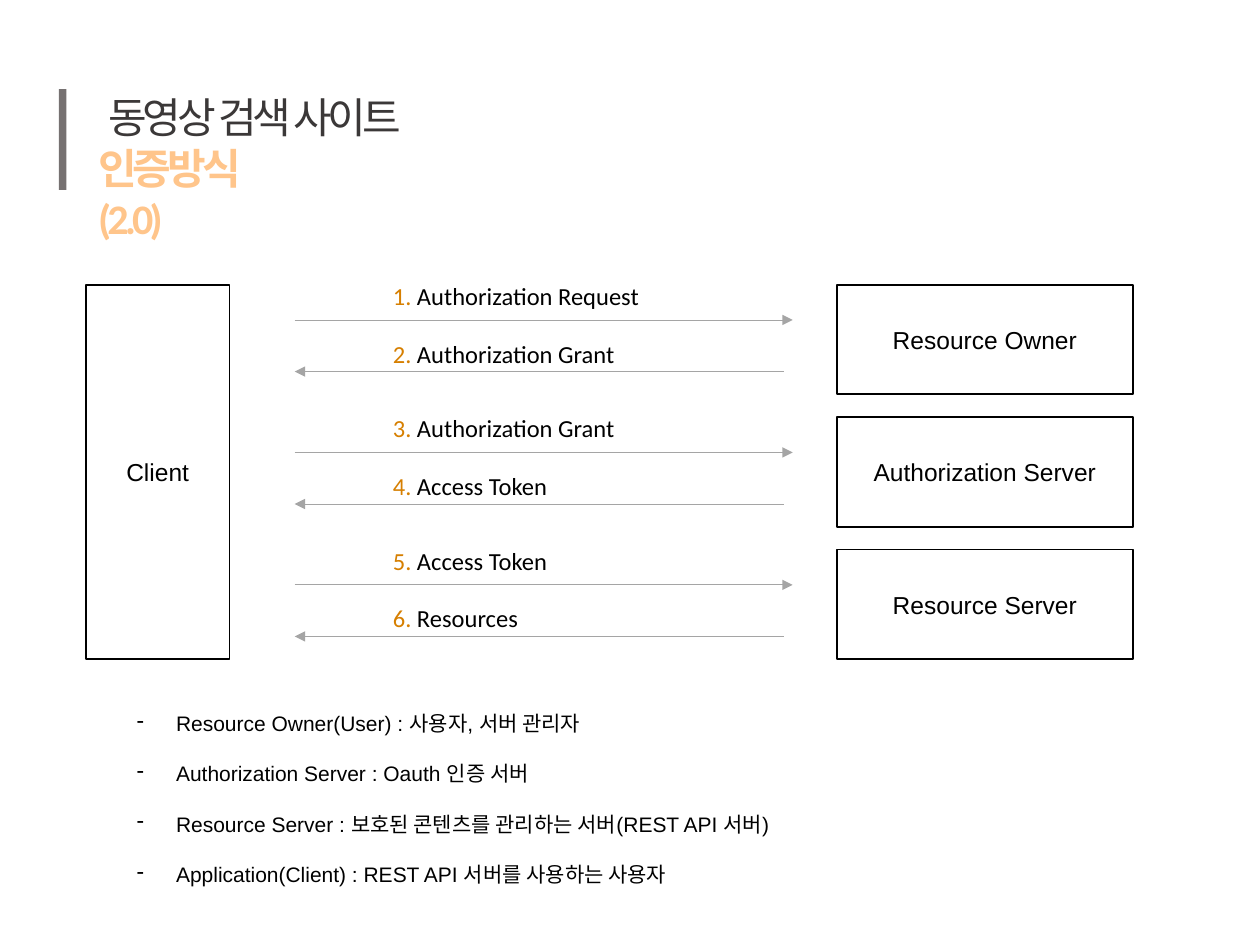
from lxml.etree import SubElement
from pptx import Presentation
from pptx.dml.color import RGBColor
from pptx.enum.shapes import MSO_CONNECTOR as CONN, MSO_SHAPE as SHAPE
from pptx.enum.text import MSO_ANCHOR as ANCHOR, PP_ALIGN as ALIGN
from pptx.oxml.ns import qn
from pptx.util import Cm, Pt

BLACK, WHITE = "000000", "FFFFFF"
ROW_TOP, ROW_PITCH, ROW_HEIGHT = 5.74, 2.67, 2.21
EXCHANGES = [
    ("Resource Owner", "Authorization Request", "Authorization Grant"),
    ("Authorization Server", "Authorization Grant", "Access Token"),
    ("Resource Server", "Access Token", "Resources"),
]
NOTES = [
    "Resource Owner(User) : 사용자, 서버 관리자",
    "Authorization Server : Oauth 인증 서버",
    "Resource Server : 보호된 콘텐츠를 관리하는 서버(REST API 서버)",
    "Application(Client) : REST API 서버를 사용하는 사용자",
]


def rgb(value):
    """Turn a hex string into a colour."""
    return RGBColor.from_string(value)


def add_run(p, text, size=14, font="Arial", color=BLACK, bold=False, spacing=None):
    """Add formatted text to a paragraph; spacing is in points."""
    r = p.add_run()
    r.text = text
    r.font.size, r.font.name, r.font.bold = Pt(size), font, bold
    r.font.color.rgb = rgb(color)
    if spacing is not None:
        r._r.get_or_add_rPr().set("spc", str(round(spacing * 100)))


def add_text_box(s, left, top, width, height, anchor=ANCHOR.TOP):
    """Add a wrapping text box and return its text frame."""
    tf = s.shapes.add_textbox(Cm(left), Cm(top), Cm(width), Cm(height)).text_frame
    tf.word_wrap = True
    tf.vertical_anchor = anchor
    return tf


def add_rect(s, left, top, width, height, fill=WHITE, line=None):
    """Add a flat rectangle, outlined when a line colour is given."""
    sp = s.shapes.add_shape(SHAPE.RECTANGLE, Cm(left), Cm(top), Cm(width), Cm(height))
    sp.shadow.inherit = False
    sp.fill.solid()
    sp.fill.fore_color.rgb = rgb(fill)
    if line:
        sp.line.color.rgb = rgb(line)
        sp.line.width = Pt(1)
    else:
        sp.line.fill.background()
    return sp


def add_party(s, name, left, top, width, height):
    """Add an outlined box with a centred name."""
    tf = add_rect(s, left, top, width, height, line=BLACK).text_frame
    tf.word_wrap = True
    tf.vertical_anchor = ANCHOR.MIDDLE
    p = tf.paragraphs[0]
    p.alignment = ALIGN.CENTER
    add_run(p, name)


def add_arrow(s, start, end, y):
    """Add a thin horizontal arrow pointing at end."""
    c = s.shapes.add_connector(CONN.STRAIGHT, Cm(start), Cm(y), Cm(end), Cm(y))
    c.line.color.rgb = rgb("A5A5A5")
    c.line.width = Pt(0.5)
    SubElement(c.line._get_or_add_ln(), qn("a:tailEnd"), type="triangle")
    SubElement(c._element.spPr, qn("a:effectLst"))


def add_step(s, number, text, top):
    """Add a numbered message label."""
    p = add_text_box(s, 7.67, top, 8.51, 0.86).paragraphs[0]
    add_run(p, f"{number}.", font="Calibri", color="D67F00")
    add_run(p, f" {text}", font="Calibri")


def add_heading(s):
    """Add the side bar and the two-part heading."""
    style = dict(size=24, font="Calibri", spacing=-2.2)
    p = add_text_box(s, 1.35, 0.97, 7.57, 2.03, ANCHOR.BOTTOM).paragraphs[0]
    p.alignment = ALIGN.CENTER
    p.line_spacing = 0.9
    add_run(p, "동영상 검색 사이트", color="3B3838", **style)
    p = add_text_box(s, 1.73, 2.74, 4.32, 1.27).paragraphs[0]
    add_run(p, "인증방식(2.0)", color="FFC58B", bold=True, **style)
    add_rect(s, 1.19, 1.8, 0.15, 2.03, fill="767171")


def add_notes_list(s):
    """Add the dashed list of role definitions."""
    tf = add_text_box(s, 2.51, 13.69, 18.21, 4.19)
    for i, note in enumerate(NOTES):
        p = tf.add_paragraph() if i else tf.paragraphs[0]
        p.line_spacing = 2.0
        pPr = p._p.get_or_add_pPr()
        pPr.set("marL", str(Cm(0.79)))
        pPr.set("indent", str(-Cm(0.79)))
        SubElement(pPr, qn("a:buChar"), char="-")
        add_run(p, note, size=12)


def main():
    """Build the slide."""
    prs = Presentation()
    prs.slide_width, prs.slide_height = Cm(25.4), Cm(19.05)
    s = prs.slides.add_slide(prs.slide_layouts[6])
    add_heading(s)
    add_party(s, "Client", 1.73, ROW_TOP, 2.9, 2 * ROW_PITCH + ROW_HEIGHT)
    for i, (party, request, reply) in enumerate(EXCHANGES):
        top = ROW_TOP + i * ROW_PITCH
        add_party(s, party, 16.87, top, 5.97, ROW_HEIGHT)
        add_arrow(s, 5.94, 15.98, top + 0.71)
        add_arrow(s, 15.8, 5.94, top + 1.75)
        add_step(s, 2 * i + 1, request, top - 0.2)
        add_step(s, 2 * i + 2, reply, top + 0.96)
    add_notes_list(s)
    prs.save("out.pptx")


main()
